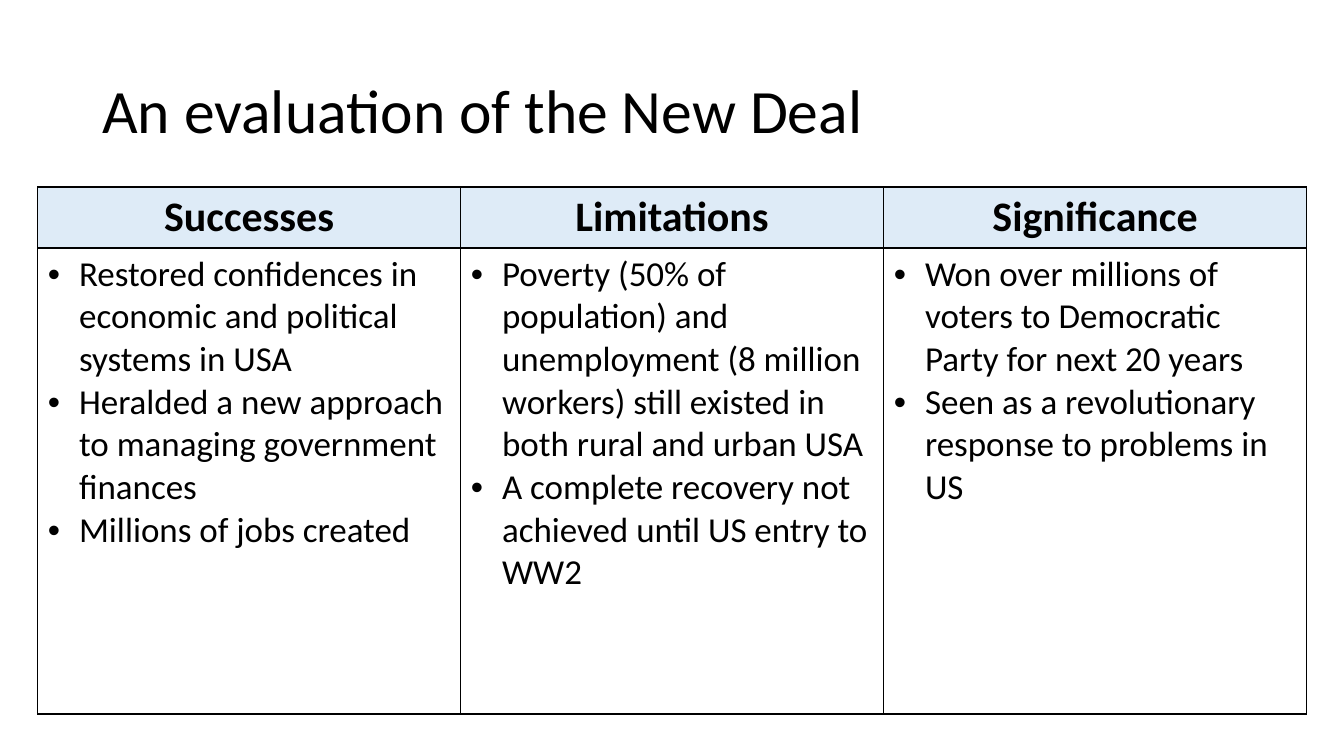
"""Build a slide with a three-column evaluation of the New Deal."""
from lxml import etree
from pptx import Presentation
from pptx import util as u
from pptx.dml.color import RGBColor
from pptx.enum import text
from pptx.oxml import ns

BLACK = RGBColor(0x00, 0x00, 0x00)
PALE_BLUE = RGBColor(0xDE, 0xEB, 0xF7)
HEADING_FORMAT = {"name": "Calibri", "size": u.Pt(44), "bold": False}
HEADER_FORMAT = {"name": "Calibri", "size": u.Pt(30), "bold": True}
POINT_FORMAT = {"name": "Calibri", "size": u.Pt(25), "bold": False}
HANGING = u.Cm(0.79)

EVALUATION = {
    "Successes": [
        "Restored confidences in economic and political systems in USA",
        "Heralded a new approach to managing government finances",
        "Millions of jobs created",
    ],
    "Limitations": [
        "Poverty (50% of population) and unemployment (8 million workers) "
        "still existed in both rural and urban USA",
        "A complete recovery not achieved until US entry to WW2",
    ],
    "Significance": [
        "Won over millions of voters to Democratic Party for next 20 years",
        "Seen as a revolutionary response to problems in US",
    ],
}


def write(paragraph, wording, format_values):
    run = paragraph.add_run()
    run.text = wording
    for attribute, value in format_values.items():
        setattr(run.font, attribute, value)
    run.font.color.rgb = BLACK


def add_borders(cell):
    properties = cell._tc.get_or_add_tcPr()
    for side in ("lnL", "lnR", "lnT", "lnB"):
        border = etree.SubElement(properties, ns.qn(f"a:{side}"), w=str(u.Pt(1)))
        colour = etree.SubElement(border, ns.qn("a:solidFill"))
        etree.SubElement(colour, ns.qn("a:srgbClr"), val=str(BLACK))


deck = Presentation()
deck.slide_width, deck.slide_height = u.Cm(33.87), u.Cm(19.05)
slide = deck.slides.add_slide(deck.slide_layouts[6])

heading = slide.shapes.add_textbox(u.Cm(2.33), u.Cm(1.01), u.Cm(29.21), u.Cm(3.68)).text_frame
heading.word_wrap = True
heading.vertical_anchor = text.MSO_ANCHOR.MIDDLE
heading.paragraphs[0].line_spacing = 0.9
write(heading.paragraphs[0], "An evaluation of the New Deal", HEADING_FORMAT)

evaluation = slide.shapes.add_table(
    2, len(EVALUATION), u.Cm(0.95), u.Cm(4.71), u.Cm(31.98), u.Cm(13.28)
).table
evaluation.first_row = evaluation.horz_banding = False
evaluation.rows[0].height = u.Cm(1.54)
evaluation.rows[1].height = u.Cm(11.74)

for column, (header, points) in enumerate(EVALUATION.items()):
    evaluation.columns[column].width = u.Cm(10.66)
    header_cell, points_cell = evaluation.cell(0, column), evaluation.cell(1, column)

    add_borders(header_cell)
    header_cell.fill.solid()
    header_cell.fill.fore_color.rgb = PALE_BLUE
    header_line = header_cell.text_frame.paragraphs[0]
    header_line.alignment = text.PP_ALIGN.CENTER
    write(header_line, header, HEADER_FORMAT)

    add_borders(points_cell)
    points_cell.fill.background()
    for number, point in enumerate(points):
        frame = points_cell.text_frame
        point_line = frame.add_paragraph() if number else frame.paragraphs[0]
        layout = point_line._p.get_or_add_pPr()
        layout.set("marL", str(HANGING))
        layout.set("indent", str(-HANGING))
        etree.SubElement(layout, ns.qn("a:buFont"), typeface="Arial")
        etree.SubElement(layout, ns.qn("a:buChar"), char="•")
        write(point_line, point, POINT_FORMAT)

deck.save("out.pptx")
